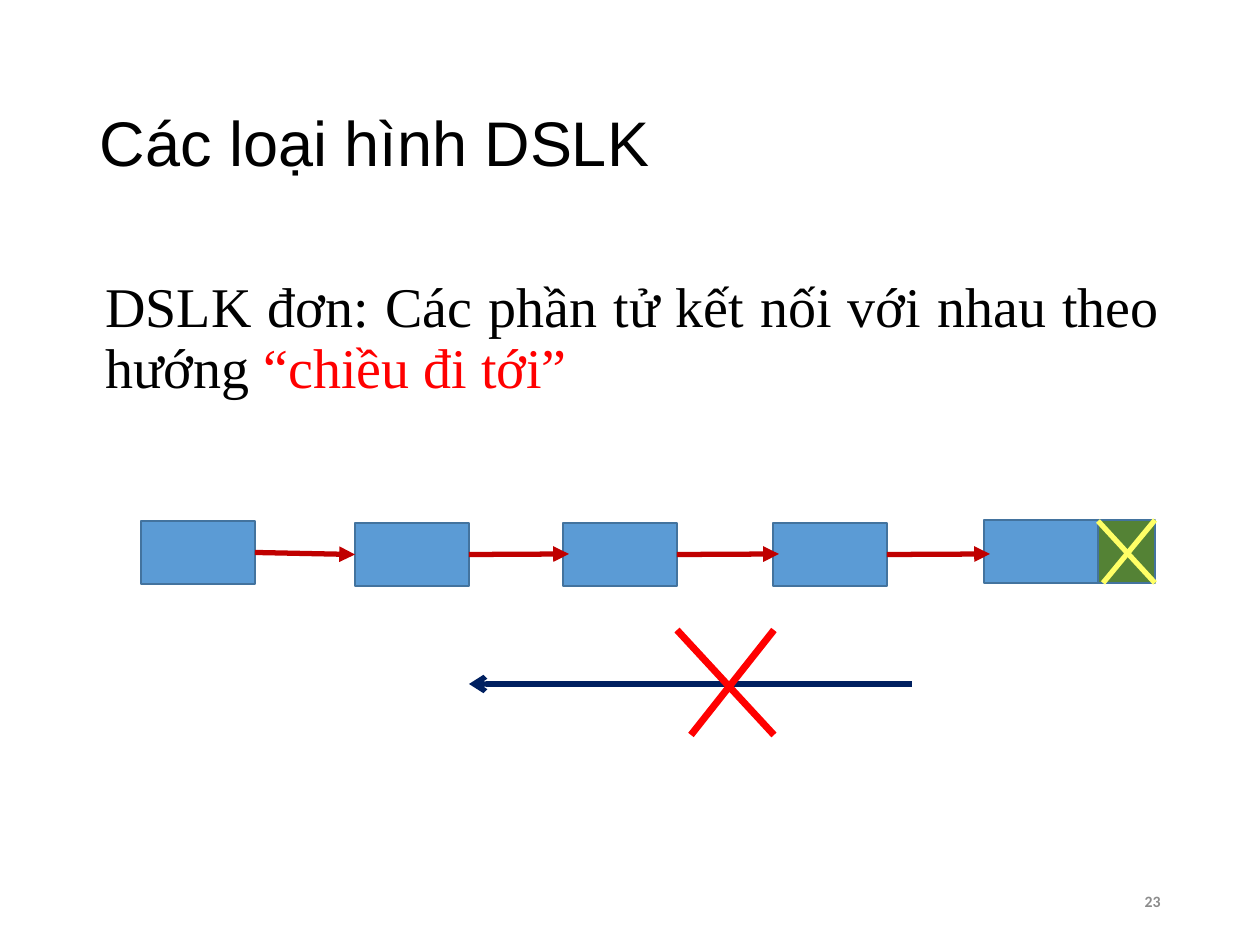
import pptx
import pptx.dml.color
import pptx.enum.shapes
import pptx.enum.text
import pptx.oxml
import pptx.oxml.ns
import pptx.util

RGBColor = pptx.dml.color.RGBColor
ALIGN = pptx.enum.text.PP_ALIGN
ANCHOR = pptx.enum.text.MSO_ANCHOR

BLACK = RGBColor(0x00, 0x00, 0x00)
RED = RGBColor(0xFF, 0x00, 0x00)
GREY = RGBColor(0x8C, 0x8C, 0x8C)
NODE_BLUE = RGBColor(0x5B, 0x9B, 0xD5)
NODE_OUTLINE = RGBColor(0x43, 0x73, 0x9E)
NULL_GREEN = RGBColor(0x54, 0x82, 0x35)
LINK_RED = RGBColor(0xC0, 0x00, 0x00)
NAVY = RGBColor(0x00, 0x20, 0x60)
YELLOW = RGBColor(0xFF, 0xFF, 0x66)

PX_PER_INCH = 126
NODE_WIDTH, NODE_HEIGHT, NULL_WIDTH = 114, 63, 57


def px(length):
    """Turn a length in px into EMU."""
    return pptx.util.Emu(round(length * 914400 / PX_PER_INCH))


def format_run(run, font_name, size, color, bold=False):
    """Set the font of one run."""
    run.font.name = font_name
    run.font.size = pptx.util.Pt(size)
    run.font.color.rgb = color
    run.font.bold = bold


def add_line(slide, start, end, color, width, arrowhead=None):
    """Draw a straight line, with an optional arrowhead at its end."""
    line = slide.shapes.add_connector(
        pptx.enum.shapes.MSO_CONNECTOR.STRAIGHT, *map(px, start + end))
    line.line.color.rgb = color
    line.line.width = pptx.util.Pt(width)
    if arrowhead:
        tail = pptx.oxml.parse_xml(
            f'<a:tailEnd {pptx.oxml.ns.nsdecls("a")} type="{arrowhead}"/>')
        line.line._get_or_add_ln().append(tail)
    properties = line._element.spPr
    properties.append(pptx.oxml.parse_xml(f'<a:effectLst {pptx.oxml.ns.nsdecls("a")}/>'))
    return line


def add_rectangle(slide, left, top, width, height, fill):
    """Draw one outlined cell of the list."""
    shape = slide.shapes.add_shape(
        pptx.enum.shapes.MSO_SHAPE.RECTANGLE, *map(px, (left, top, width, height)))
    shape.shadow.inherit = False
    shape.fill.solid()
    shape.fill.fore_color.rgb = fill
    shape.line.color.rgb = NODE_OUTLINE
    shape.line.width = pptx.util.Pt(1)
    return shape


def add_title(slide, left, top, width, height):
    """Place the slide title."""
    title = slide.shapes.title
    title.left, title.top, title.width, title.height = map(px, (left, top, width, height))
    frame = title.text_frame
    frame.text = "Các loại hình DSLK"
    frame.auto_size = pptx.enum.text.MSO_AUTO_SIZE.NONE
    frame.vertical_anchor = ANCHOR.MIDDLE
    paragraph = frame.paragraphs[0]
    paragraph.alignment = ALIGN.LEFT
    format_run(paragraph.runs[0], "Arial", 36, BLACK)


def add_definition(slide, left, top, width, height):
    """Write the definition of a singly linked list."""
    box = slide.shapes.add_textbox(*map(px, (left, top, width, height)))
    box.text_frame.word_wrap = True
    paragraph = box.text_frame.paragraphs[0]
    paragraph.alignment = ALIGN.JUSTIFY
    paragraph.line_spacing = 0.9
    paragraph._p.get_or_add_pPr().set("marL", str(px(6)))
    for text, color in (
            ("DSLK đơn: Các phần tử kết nối với nhau theo hướng ", BLACK),
            ("“chiều đi tới”", RED)):
        run = paragraph.add_run()
        run.text = text
        format_run(run, "Times New Roman", 32, color)


def add_linked_list(slide, left, top):
    """Draw the nodes, the links between them and the crossed null cell."""
    node_offsets = ((0, 1), (214, 3), (422, 3), (632, 3), (843, 0))
    link_overlaps = (0, 6, 6, 6)
    nodes = [add_rectangle(slide, left + x, top + y, NODE_WIDTH, NODE_HEIGHT, NODE_BLUE)
             for x, y in node_offsets]
    for index, overlap in enumerate(link_overlaps):
        x, y = node_offsets[index]
        next_x, next_y = node_offsets[index + 1]
        start = (left + x + NODE_WIDTH, top + y + NODE_HEIGHT // 2)
        end = (left + next_x + overlap, top + 34)
        link = add_line(slide, start, end, LINK_RED, 3, "triangle")
        link.begin_connect(nodes[index], 3)
        if not overlap:
            link.end_connect(nodes[index + 1], 1)

    null_left = left + node_offsets[-1][0] + NODE_WIDTH
    null_right, bottom = null_left + NULL_WIDTH, top + NODE_HEIGHT
    add_rectangle(slide, null_left, top, NULL_WIDTH, NODE_HEIGHT, NULL_GREEN)
    add_line(slide, (null_right, top), (null_left + 5, bottom), YELLOW, 3)
    add_line(slide, (null_left, top + 1), (null_right, bottom), YELLOW, 3)


def add_forbidden_direction(slide, left, top, width, height):
    """Draw the backward arrow and the red cross over it."""
    middle = top + 54
    cross_left, cross_right = left + 208, left + 305
    add_line(slide, (left + width, middle), (left, middle), NAVY, 3, "arrow")
    add_line(slide, (cross_right, top), (cross_left + 14, top + height), RED, 4)
    add_line(slide, (cross_left, top), (cross_right, top + height), RED, 4)


def add_slide_number(slide, left, top, width, height):
    """Write the slide number."""
    box = slide.shapes.add_textbox(*map(px, (left, top, width, height)))
    frame = box.text_frame
    frame.word_wrap = True
    frame.vertical_anchor = ANCHOR.MIDDLE
    frame.text = "23"
    paragraph = frame.paragraphs[0]
    paragraph.alignment = ALIGN.RIGHT
    format_run(paragraph.runs[0], "Calibri", 9, GREY, bold=True)


def main():
    """Build and save the slide."""
    presentation = pptx.Presentation()
    presentation.slide_width, presentation.slide_height = px(1260), px(945)
    slide = presentation.slides.add_slide(presentation.slide_layouts[5])
    add_title(slide, 87, 50, 1086, 183)
    add_definition(slide, 87, 273, 1086, 168)
    add_slide_number(slide, 834, 876, 339, 50)
    add_forbidden_direction(slide, 469, 630, 443, 105)
    add_linked_list(slide, 141, 520)
    presentation.save("out.pptx")


if __name__ == "__main__":
    main()
